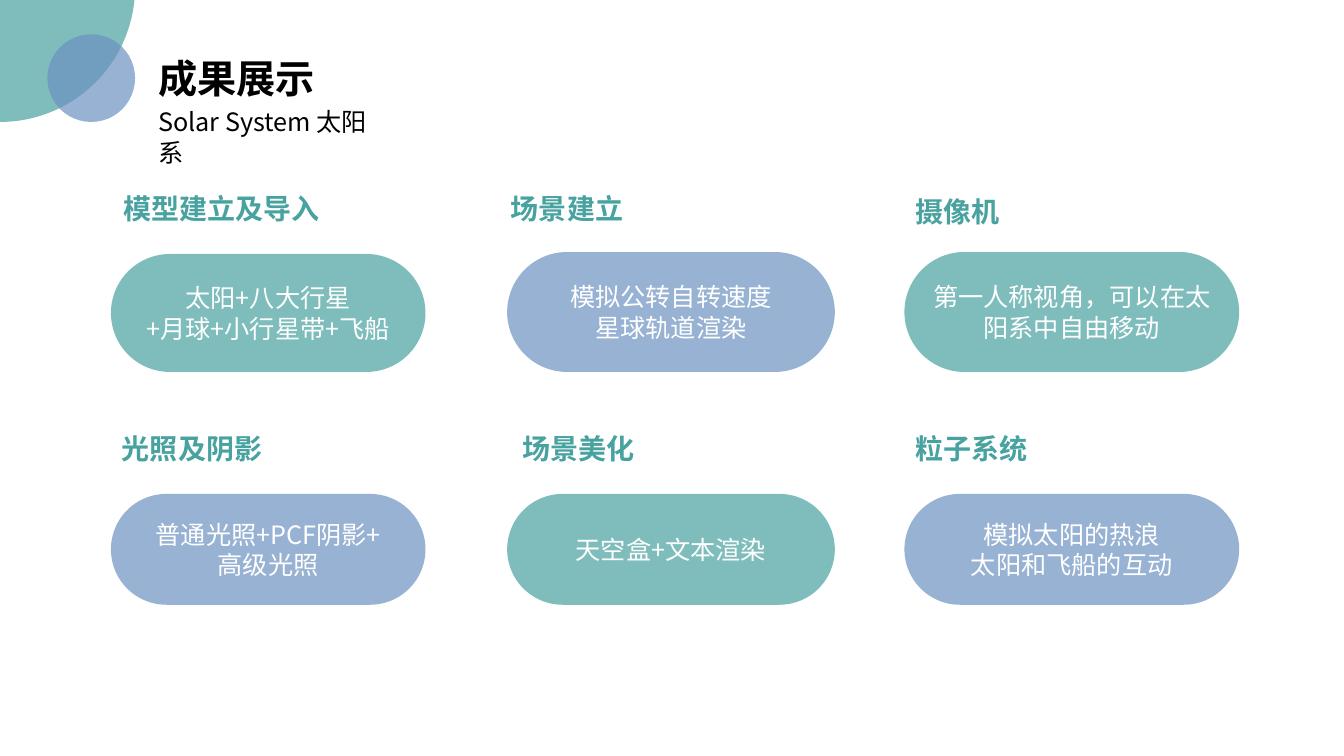
from dataclasses import dataclass

from pptx import Presentation
from pptx.dml.color import RGBColor
from pptx.enum.shapes import MSO_SHAPE
from pptx.enum.text import MSO_ANCHOR, MSO_AUTO_SIZE, PP_ALIGN
from pptx.oxml.ns import qn
from pptx.util import Inches, Pt
from lxml.etree import SubElement

FONT = "Noto Sans CJK SC"
COLORS = {"teal": "48A2A0", "blue": "6C92C0", "white": "FFFFFF", "black": "000000"}
OPACITY = 70

# Column left edge and pill width; row heading top, pill top and pill height
COLUMNS = [(1.1, 3.12), (5.03, 3.25), (8.97, 3.32)]
ROWS = [(1.85, 2.5, 1.19), (4.23, 4.9, 1.1)]


@dataclass
class Topic:
    heading: str
    lines: list[str]
    heading_width: float
    heading_dx: float = 0
    heading_dy: float = 0
    heading_height: float = 0.44
    pill_dy: float = 0


@dataclass
class Circle:
    left: float
    top: float
    size: float
    color: str


TOPICS = [
    Topic("模型建立及导入", ["太阳+八大行星", "+月球+小行星带+飞船"], 2.17, pill_dy=0.02),
    Topic("场景建立", ["模拟公转自转速度", "星球轨道渲染"], 1.37, heading_dx=-0.12),
    Topic("摄像机", ["第一人称视角，可以在太阳系中自由移动"], 1.04,
          heading_dy=0.03, heading_height=0.77),
    Topic("光照及阴影", ["普通光照+PCF阴影+", "高级光照"], 1.6),
    Topic("场景美化", ["天空盒+文本渲染"], 1.32, heading_dx=0.04),
    Topic("粒子系统", ["模拟太阳的热浪", "太阳和飞船的互动"], 1.32),
]
CIRCLES = [Circle(-1.34, -1.47, 2.68, "teal"), Circle(0.47, 0.34, 0.87, "blue")]


def write(shape, lines: list[str], *, size: float, color: str, bold: bool = False,
          align=PP_ALIGN.LEFT, anchor=MSO_ANCHOR.TOP, wrap: bool = True) -> None:
    """Fill a shape with one paragraph per line."""
    tf = shape.text_frame
    tf.auto_size = MSO_AUTO_SIZE.NONE
    tf.word_wrap = wrap
    tf.vertical_anchor = anchor
    for i, line in enumerate(lines):
        p = tf.add_paragraph() if i else tf.paragraphs[0]
        p.alignment = align
        r = p.add_run()
        r.text = line
        r.font.size = Pt(size)
        r.font.bold = bold
        r.font.color.rgb = RGBColor.from_string(COLORS[color])
        r.font.name = FONT
        SubElement(r.font._element, qn("a:ea")).set("typeface", FONT)


def add_tinted(slide, kind, left: float, top: float, width: float, height: float,
               color: str):
    """Add a translucent shape without outline or shadow."""
    sp = slide.shapes.add_shape(kind, Inches(left), Inches(top), Inches(width), Inches(height))
    sp.shadow.inherit = False
    sp.line.fill.background()
    sp.fill.solid()
    sp.fill.fore_color.rgb = RGBColor.from_string(COLORS[color])
    clr = sp._element.spPr.find(qn("a:solidFill")).find(qn("a:srgbClr"))
    SubElement(clr, qn("a:alpha")).set("val", str(OPACITY * 1000))
    return sp


def add_text(slide, left: float, top: float, width: float, height: float,
             text: str, **fmt) -> None:
    box = slide.shapes.add_textbox(Inches(left), Inches(top), Inches(width), Inches(height))
    write(box, [text], **fmt)


def add_topic(slide, index: int, topic: Topic) -> None:
    """Add one heading with its pill, at its place in the grid."""
    row, col = divmod(index, len(COLUMNS))
    left, width = COLUMNS[col]
    heading_top, pill_top, pill_height = ROWS[row]
    pill = add_tinted(slide, MSO_SHAPE.ROUNDED_RECTANGLE, left, pill_top + topic.pill_dy,
                      width, pill_height - topic.pill_dy, "blue" if index % 2 else "teal")
    pill.adjustments[0] = 0.5
    write(pill, topic.lines, size=18, color="white", align=PP_ALIGN.CENTER,
          anchor=MSO_ANCHOR.MIDDLE)
    add_text(slide, left + topic.heading_dx, heading_top + topic.heading_dy,
             topic.heading_width, topic.heading_height, topic.heading,
             size=20, color="teal", bold=True, align=PP_ALIGN.RIGHT, wrap=False)


def main() -> None:
    prs = Presentation()
    prs.slide_width, prs.slide_height = Inches(13.33), Inches(7.5)
    slide = prs.slides.add_slide(prs.slide_layouts[5])

    # Topic grid
    for index, topic in enumerate(TOPICS):
        add_topic(slide, index, topic)

    # Corner circles
    for c in CIRCLES:
        add_tinted(slide, MSO_SHAPE.OVAL, c.left, c.top, c.size, c.size, c.color)

    # Title and subtitle
    title = slide.shapes.title
    title.left, title.top = Inches(1.47), Inches(0.49)
    title.width, title.height = Inches(1.77), Inches(0.57)
    write(title, ["成果展示"], size=28, color="black", bold=True, wrap=False)
    add_text(slide, 1.47, 1.01, 2.37, 0.4, "Solar System 太阳系", size=18, color="black")

    prs.save("out.pptx")


if __name__ == "__main__":
    main()
